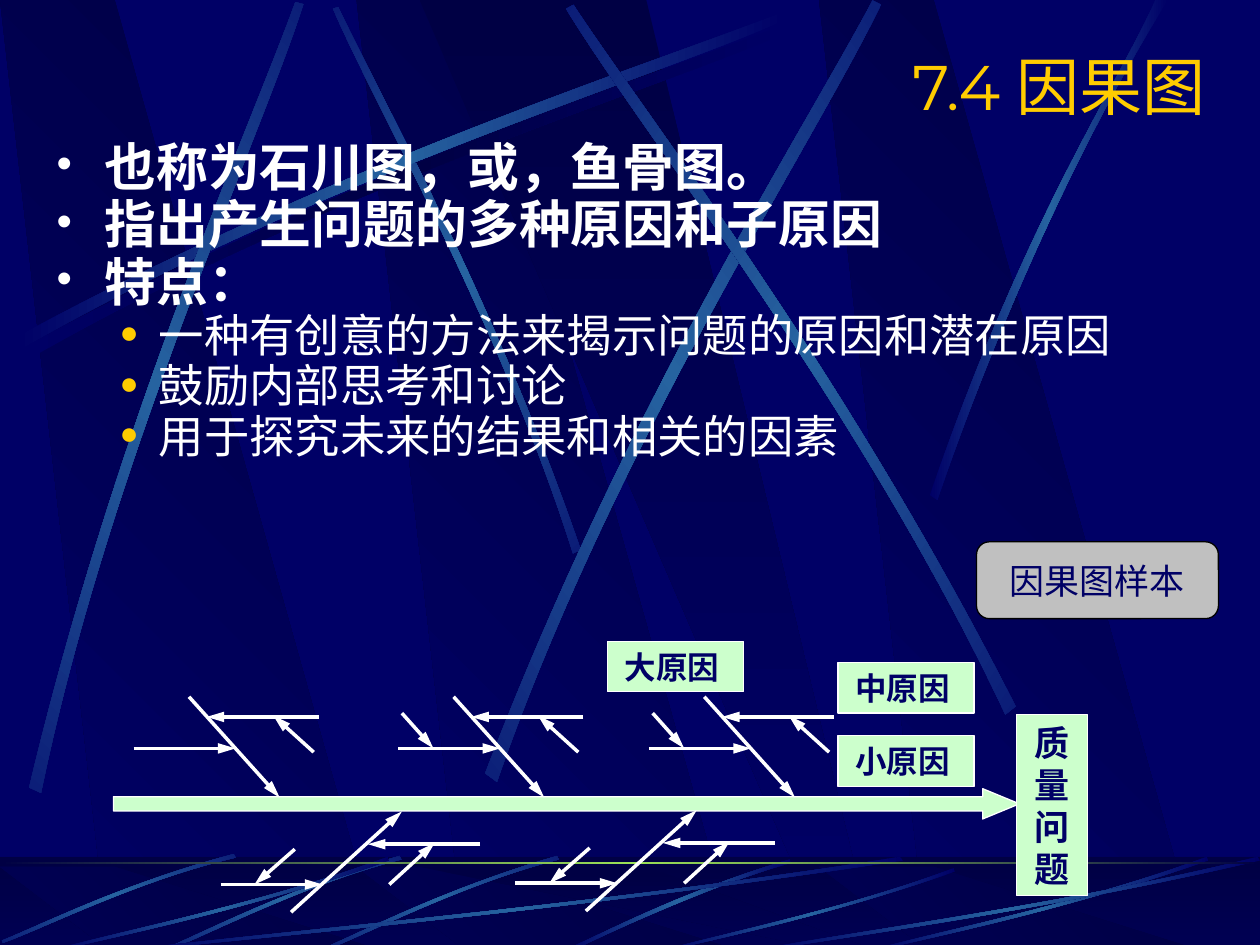
from dataclasses import dataclass

from lxml import etree
from pptx import Presentation
from pptx.dml.color import RGBColor
from pptx.enum.shapes import MSO_CONNECTOR, MSO_SHAPE
from pptx.enum.text import MSO_ANCHOR, MSO_AUTO_SIZE, PP_ALIGN
from pptx.oxml.ns import qn
from pptx.util import Inches, Pt

RECT, ROUND, ARROW = MSO_SHAPE.RECTANGLE, MSO_SHAPE.ROUNDED_RECTANGLE, MSO_SHAPE.RIGHT_ARROW
STRAIGHT = MSO_CONNECTOR.STRAIGHT
MIDDLE, TOP = MSO_ANCHOR.MIDDLE, MSO_ANCHOR.TOP
CENTER, RIGHT = PP_ALIGN.CENTER, PP_ALIGN.RIGHT
NO_FIT = MSO_AUTO_SIZE.NONE


@dataclass(frozen=True)
class Theme:
    """Colours, fonts and type sizes of the slide."""
    navy: str = "000066"
    dark: str = "000044"
    beam: str = "2663A0"
    glow: str = "9CE157"
    gold: str = "FFCC00"
    white: str = "FFFFFF"
    mint: str = "CCFFCC"
    grey: str = "C0C0C0"
    black: str = "000000"
    head_font: str = "Montserrat"
    body_font: str = "Arial"
    label_font: str = "Times New Roman"
    title: float = 36
    level1: float = 29.6
    level2: float = 25.9
    box: float = 20
    label: float = 18


T = Theme()
SWEEP = (6.08, 2.67, [(0, 2.57), (2.64, 1.15), (5.04, 0.41), (6.06, 0),
                      (6.09, 0.06), (5.08, 0.51), (2.34, 1.33), (0.03, 2.67)])
FLOOR = (6.17, 0.75, [(6.17, 0.03), (3.49, 0.43), (1.06, 0.64), (0.03, 0.75),
                      (0, 0.74), (1.02, 0.61), (3.8, 0.38), (6.14, 0)])
BLADE = (1.89, 3.97, [(0, 3.93), (0.76, 1.73), (1.5, 0.66), (1.79, 0),
                      (1.89, 0), (0.98, 1.45), (0.31, 3.22), (0.06, 3.97)])
TAIL = (1.8, 0.73, [(1.79, 0), (0.89, 0.27), (0.29, 0.6), (0, 0.72),
                    (0.05, 0.73), (0.42, 0.55), (1.23, 0.18), (1.8, 0.03)])
FADE, BEAM = (T.dark, T.navy), (T.navy, T.beam, T.navy)


def write(p, text, size, color, font=T.body_font, bold=False, align=None):
    """Put formatted text in a paragraph."""
    p.alignment = align
    r = p.add_run()
    r.text = text
    r.font.size, r.font.name, r.font.bold = Pt(size), font, bold
    r.font.color.rgb = RGBColor.from_string(color)


def place(sp, box):
    """Move and size a shape to a box in inches."""
    sp.left, sp.top, sp.width, sp.height = (Inches(v) for v in box)


def paint(sp, fill, line=None):
    """Give a shape a plain fill and an optional thin outline."""
    sp.shadow.inherit = False
    sp.fill.solid()
    sp.fill.fore_color.rgb = RGBColor.from_string(fill)
    if line:
        sp.line.color.rgb = RGBColor.from_string(line)
        sp.line.width = Pt(0.75)
    else:
        sp.line.fill.background()


def shade(sp, colors, angle):
    """Fill a shape with evenly spaced gradient colours at a clockwise angle."""
    sp.shadow.inherit = False
    sp.line.fill.background()
    sp.fill.gradient()
    sp.fill.gradient_angle = 360 - angle
    stops = sp._element.spPr.find(qn("a:gradFill")).find(qn("a:gsLst"))
    for gs in list(stops):
        stops.remove(gs)
    for i, color in enumerate(colors):
        gs = etree.SubElement(stops, qn("a:gs"), pos=str(100000 * i // (len(colors) - 1)))
        etree.SubElement(gs, qn("a:srgbClr"), val=color)


def outline(shapes, points):
    """Build a closed freeform from points in inches."""
    pts = [(Inches(x), Inches(y)) for x, y in points]
    fb = shapes.build_freeform(*pts[0])
    fb.add_line_segments(pts[1:], close=True)
    return fb.convert_to_shape()


def curve(segments):
    """Merge three straight segments into one cubic curve."""
    first = segments[0]
    cubic = etree.Element(qn("a:cubicBezTo"))
    first.addprevious(cubic)
    for seg in segments:
        cubic.append(seg[0])
        seg.getparent().remove(seg)


def ribbon(shapes, profile, box, rot=0, flip=False, colors=BEAM):
    """Draw a curved beam by scaling a profile to a box."""
    w0, h0, ctrl = profile
    x, y, w, h = box
    sp = outline(shapes, [(x + w * (1 - u / w0 if flip else u / w0), y + h * v / h0)
                          for u, v in ctrl])
    segments = list(sp._element.spPr.iter(qn("a:lnTo")))
    curve(segments[:3])
    curve(segments[4:7])
    shade(sp, colors, 180)
    sp.rotation = rot


def panels(shapes, top, bottom):
    """Draw the four slanted panels between two heights."""
    for x in (2.83, 0, 6.5):
        sp = outline(shapes, [(x + 0.86, bottom), (x + 3.02, bottom), (x + 0.91, top), (x, top)])
        shade(sp, FADE, 135)
    sp = outline(shapes, [(3.33, top), (6.58, bottom), (6.94, bottom), (5.13, top)])
    shade(sp, FADE, 90)


def backdrop(slide, master, box):
    """Draw the panels, beams and floor and hand them to the master."""
    master.background.fill.solid()
    master.background.fill.fore_color.rgb = RGBColor.from_string(T.navy)
    x, y, w, h = box
    floor = (x, y + 6.8, w, 0.75)
    grp = slide.shapes.add_group_shape()
    shapes = grp.shapes
    panels(shapes, y, y + 7.52)
    ribbon(shapes, SWEEP, (0.2, 0.18, 6.08, 2.67), colors=(T.navy, T.dark, T.navy))
    for spot, rot, flip in (((1.41, 1.35, 4.42, 1.75), 45, True),
                            ((0.14, 0.1, 6.08, 2.67), 0, False),
                            ((-1.71, 1.82, 6.08, 2.67), 311.7, False),
                            ((2.31, 1.6, 6.24, 3.01), 321.6, False),
                            ((3.23, 1.52, 6.08, 2.67), 34.8, True)):
        ribbon(shapes, SWEEP, spot, rot, flip)
    ribbon(shapes, BLADE, (7.38, 0, 1.89, 3.97))
    sp = shapes.add_shape(RECT, *map(Inches, floor))
    shade(sp, FADE, 90)
    panels(shapes, y + 6.88, y + 7.54)
    sp = shapes.add_shape(RECT, *map(Inches, floor))
    paint(sp, T.dark)
    etree.SubElement(next(sp._element.spPr.iter(qn("a:srgbClr"))), qn("a:alpha"), val="50000")
    ribbon(shapes, TAIL, (4.48, 6.82, 1.8, 0.73))
    for spot in ((2.58, 6.76, 1.84, 0.83), (1.33, 6.76, 1.84, 0.83), (0.05, 6.71, 1.79, 0.85)):
        ribbon(shapes, SWEEP, spot, 314.9, True)
    for spot in ((1, 6.8, 6.17, 0.75), (0.42, 6.8, 2.67, 0.75), (5.27, 6.89, 2.31, 0.66),
                 (6.92, 6.8, 2.67, 0.75), (6, 6.8, 4, 0.75)):
        ribbon(shapes, FLOOR, spot)
    sp = shapes.add_shape(RECT, *map(Inches, (x, y + 6.84, w, 0.02)))
    shade(sp, (T.dark, T.glow, T.dark), 180)
    for i, prop in enumerate(grp._element.iter(qn("p:cNvPr"))):
        prop.set("id", str(100 + i))
    master.shapes._spTree.insert(2, grp._element)


def heading(slide, box):
    """Fill the title placeholder."""
    sp = slide.shapes.title
    place(sp, box)
    tf = sp.text_frame
    tf.auto_size, tf.word_wrap, tf.vertical_anchor = NO_FIT, True, MIDDLE
    write(tf.paragraphs[0], "7.4 因果图", T.title, T.gold, T.head_font, align=RIGHT)


def bullet(p, char, color, percent, left, hang):
    """Give a paragraph a bullet and a hanging indent."""
    pPr = p._p.get_or_add_pPr()
    pPr.set("marL", str(Inches(left)))
    pPr.set("indent", str(-Inches(hang)))
    etree.SubElement(etree.SubElement(pPr, qn("a:buClr")), qn("a:srgbClr"), val=color)
    etree.SubElement(pPr, qn("a:buSzPct"), val=str(percent * 1000))
    etree.SubElement(pPr, qn("a:buFont"), typeface=T.body_font)
    etree.SubElement(pPr, qn("a:buChar"), char=char)


def points(slide, box):
    """Fill the body placeholder with the two-level list."""
    sp = slide.placeholders[1]
    place(sp, box)
    tf = sp.text_frame
    tf.auto_size, tf.word_wrap, tf.vertical_anchor = NO_FIT, True, TOP
    items = [(0, "也称为石川图，或，鱼骨图。"), (0, "指出产生问题的多种原因和子原因"), (0, "特点："),
             (1, "一种有创意的方法来揭示问题的原因和潜在原因"), (1, "鼓励内部思考和讨论"),
             (1, "用于探究未来的结果和相关的因素")]
    styles = [(("•", T.white, 85, 0.38, 0.38), T.level1, 8),
              (("●", T.gold, 70, 0.81, 0.31), T.level2, 7)]
    for i, (level, text) in enumerate(items):
        p = tf.add_paragraph() if i else tf.paragraphs[0]
        mark, size, before = styles[level]
        bullet(p, *mark)
        p.level, p.line_spacing, p.space_before = level, 0.7, Pt(before if i else 0)
        write(p, text, size, T.white, bold=level == 0)


def label(shapes, kind, box, text, size, fill=T.mint, line=T.white, font=T.label_font, bold=True):
    """Draw a filled box with centred text."""
    sp = shapes.add_shape(kind, *map(Inches, box))
    paint(sp, fill, line)
    tf = sp.text_frame
    tf.word_wrap, tf.vertical_anchor = True, MIDDLE
    write(tf.paragraphs[0], text, size, T.navy, font, bold, CENTER)


def arrow(shapes, x1, y1, x2, y2):
    """Draw a white line with a long arrowhead at its end."""
    c = shapes.add_connector(STRAIGHT, *map(Inches, (x1, y1, x2, y2)))
    c.line.color.rgb = RGBColor.from_string(T.white)
    c.line.width = Pt(2)
    etree.SubElement(c.line._get_or_add_ln(), qn("a:tailEnd"), type="triangle", w="med", len="lg")
    etree.SubElement(c._element.spPr, qn("a:effectLst"))


def fishbone(slide, box):
    """Draw the cause and effect diagram within its box."""
    x, y, w, h = box
    shapes = slide.shapes.add_group_shape().shapes
    sp = shapes.add_shape(ARROW, *map(Inches, (x, y + 1.17, w - 0.54, 0.24)))
    sp.adjustments[0], sp.adjustments[1] = 0.47, 1.21
    paint(sp, T.mint, T.white)
    label(shapes, RECT, (x + w - 0.56, y + 0.58, 0.56, 1.44), "质量问题", T.box)
    for dx, dy, text in ((3.92, 0, "大原因 "), (5.75, 0.75, "小原因 "), (5.75, 0.17, "中原因 ")):
        label(shapes, RECT, (x + dx, y + dy, 1.08, 0.4), text, T.label)
    upper = [(0, 0, 0.72, 0.8), (1.03, 0.16, 0.14, 0.16), (0.99, 0.44, 0.67, 0.15),
             (-0.44, 0.41, 0.37, 0.41), (-0.41, 0.13, -0.16, 0.41)]
    lower = [(0, 0, 0.88, -0.8), (-0.56, -0.22, 0.25, -0.22), (0.03, -0.5, -0.29, -0.22),
             (1.5, -0.54, 0.61, -0.54), (0.78, -0.22, 1.14, -0.55)]
    for dx, dy, bones in ((4.69, 0.44, upper), (2.7, 0.44, upper), (0.6, 0.44, upper[:4]),
                          (3.75, 2.14, lower), (1.41, 2.15, lower)):
        for x1, y1, x2, y2 in bones:
            arrow(shapes, x + dx + x1, y + dy + y1, x + dx + x2, y + dy + y2)


def main():
    """Build and save the slide."""
    prs = Presentation()
    prs.slide_width, prs.slide_height = Inches(10), Inches(7.5)
    slide = prs.slides.add_slide(prs.slide_layouts[1])
    backdrop(slide, prs.slide_master, (0, 0, 10, 7.5))
    heading(slide, (1.17, 0.33, 8.5, 0.7))
    points(slide, (0.35, 1.15, 9.37, 2.77))
    fishbone(slide, (0.9, 5.09, 7.73, 2.15))
    label(slide.shapes, ROUND, (7.75, 4.3, 1.92, 0.61), "因果图样本", T.box,
          T.grey, T.black, T.body_font, False)
    prs.save("out.pptx")


if __name__ == "__main__":
    main()
